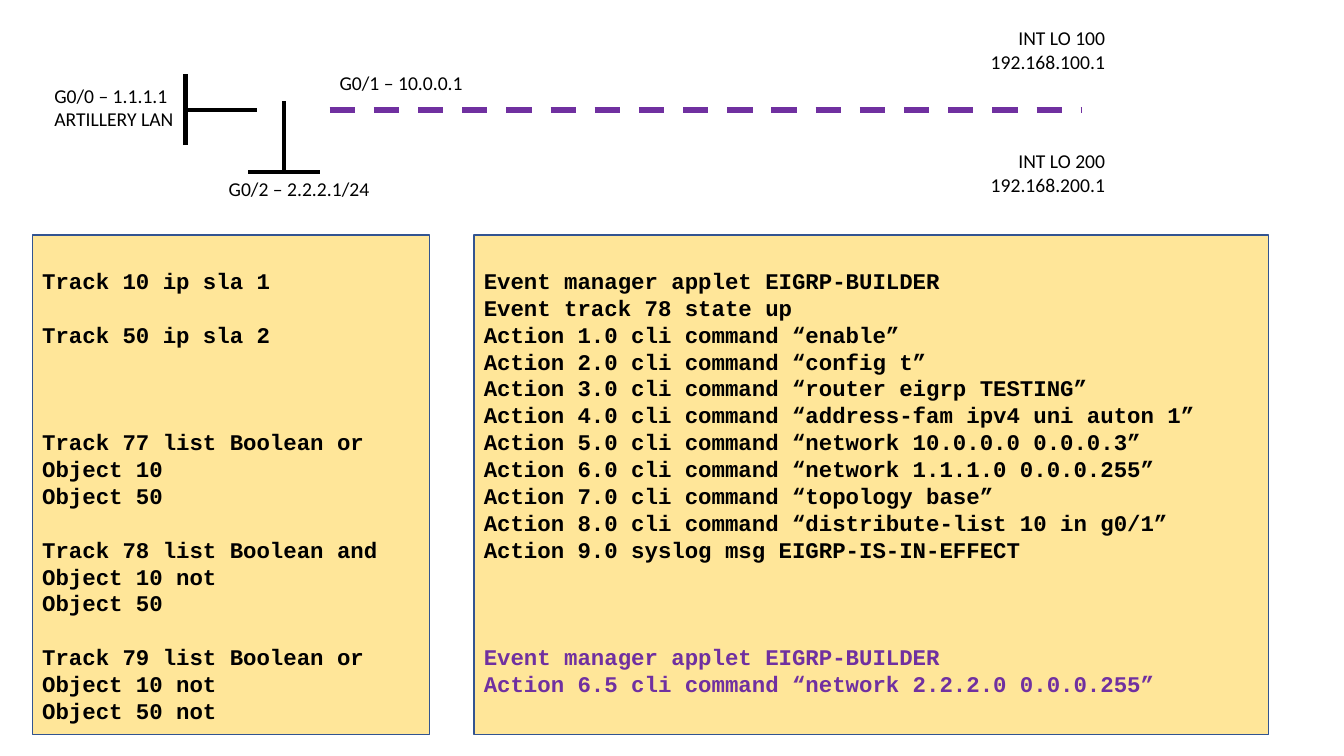
"""Build the router tracking and event manager slide."""
from pptx import Presentation
from pptx.dml.color import RGBColor
from pptx.enum.dml import MSO_LINE_DASH_STYLE as Dash
from pptx.enum.shapes import MSO_CONNECTOR as Connector, MSO_SHAPE as Shape
from pptx.enum.text import MSO_ANCHOR as Anchor, PP_ALIGN as Align
from pptx.oxml.ns import qn
from pptx.util import Inches, Pt

COLORS = {name: RGBColor.from_string(value) for name, value in {
    "black": "000000", "purple": "7030A0", "sand": "FFE699", "navy": "325491"}.items()}
LINE_PITCH = 19.2

deck = Presentation()
deck.slide_width, deck.slide_height = Inches(13.33), Inches(7.5)
page = deck.slides.add_slide(deck.slide_layouts[6])


def format_text(para, font_name, size, color, bold=False):
    """Format every run of a paragraph."""
    for span in para.runs:
        span.font.name, span.font.size, span.font.bold = font_name, Pt(size), bold
        span.font.color.rgb = COLORS[color]


links = [
    (2.82, 1.71, 2.82, 1, "black", 3),
    (2.46, 1.71, 3.17, 1.71, "black", 3),
    (1.84, 1.09, 2.55, 1.09, "black", 3),
    (1.84, 1.44, 1.84, 0.73, "black", 3),
    (3.27, 1.09, 10.73, 1.09, "purple", 4.5),
]
for x1, y1, x2, y2, color, width in links:
    link = page.shapes.add_connector(
        Connector.STRAIGHT, Inches(x1), Inches(y1), Inches(x2), Inches(y2))
    properties = link.line._get_or_add_ln().getparent()
    link.line.color.rgb, link.line.width = COLORS[color], Pt(width)
    if color == "purple":
        link.line.dash_style = Dash.DASH
    properties.append(properties.makeelement(qn("a:effectLst"), {}))

labels = [
    (8.52, 0.21, Align.RIGHT, "INT LO 100\n192.168.100.1"),
    (8.52, 1.43, Align.RIGHT, "INT LO 200\n192.168.200.1"),
    (3.27, 0.65, Align.LEFT, "G0/1 – 10.0.0.1"),
    (0.44, 0.78, Align.LEFT, "G0/0 – 1.1.1.1\nARTILLERY LAN"),
    (2.17, 1.71, Align.LEFT, "G0/2 – 2.2.2.1/24"),
]
for left, top, align, text in labels:
    height = 0.57 if "\n" in text else 0.34
    box = page.shapes.add_textbox(Inches(left), Inches(top), Inches(2.54), Inches(height))
    box.text_frame.word_wrap = True
    box.text_frame.text = text
    for para in box.text_frame.paragraphs:
        para.alignment = align
        format_text(para, "Calibri", 14, "black")

track_groups = [
    (0, "black", ["Track 10 ip sla 1"]),
    (1, "black", ["Track 50 ip sla 2"]),
    (3, "black", ["Track 77 list Boolean or", "Object 10", "Object 50"]),
    (1, "black", ["Track 78 list Boolean and", "Object 10 not", "Object 50"]),
    (1, "black", ["Track 79 list Boolean or", "Object 10 not", "Object 50 not"]),
]
applet_groups = [
    (0, "black", [
        "Event manager applet EIGRP-BUILDER",
        "Event track 78 state up",
        "Action 1.0 cli command “enable”",
        "Action 2.0 cli command “config t”",
        "Action 3.0 cli command “router eigrp TESTING”",
        "Action 4.0 cli command “address-fam ipv4 uni auton 1”",
        "Action 5.0 cli command “network 10.0.0.0 0.0.0.3”",
        "Action 6.0 cli command “network 1.1.1.0 0.0.0.255”",
        "Action 7.0 cli command “topology base”",
        "Action 8.0 cli command “distribute-list 10 in g0/1”",
        "Action 9.0 syslog msg EIGRP-IS-IN-EFFECT",
    ]),
    (3, "purple", [
        "Event manager applet EIGRP-BUILDER",
        "Action 6.5 cli command “network 2.2.2.0 0.0.0.255”",
    ]),
]
for left, width, groups in [(0.32, 3.94, track_groups), (4.7, 7.88, applet_groups)]:
    panel = page.shapes.add_shape(
        Shape.RECTANGLE, Inches(left), Inches(2.33), Inches(width), Inches(4.96))
    panel.shadow.inherit = False
    panel.fill.solid()
    panel.fill.fore_color.rgb = COLORS["sand"]
    panel.line.color.rgb, panel.line.width = COLORS["navy"], Pt(1)
    frame = panel.text_frame
    frame.word_wrap, frame.vertical_anchor = True, Anchor.TOP
    frame.margin_top = Inches(0.32)
    frame.text = "\n".join(line for _, _, lines in groups for line in lines)
    paragraphs = iter(frame.paragraphs)
    for gap, color, lines in groups:
        for index in range(len(lines)):
            para = next(paragraphs)
            para.alignment = Align.LEFT
            para.line_spacing = Pt(LINE_PITCH)
            if gap and index == 0:
                para.space_before = Pt(gap * LINE_PITCH)
            format_text(para, "Courier New", 16, color, bold=True)

deck.save("out.pptx")
